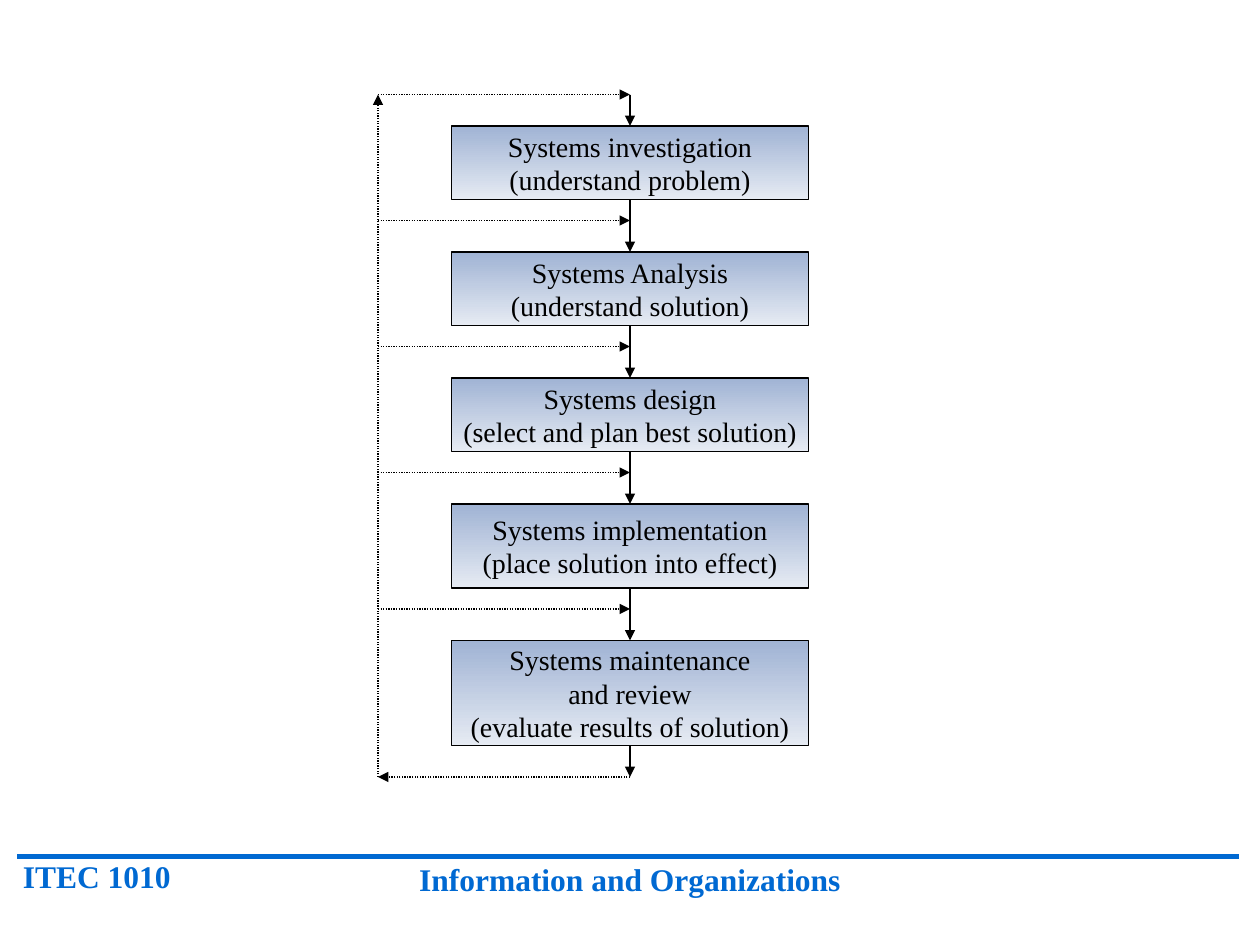
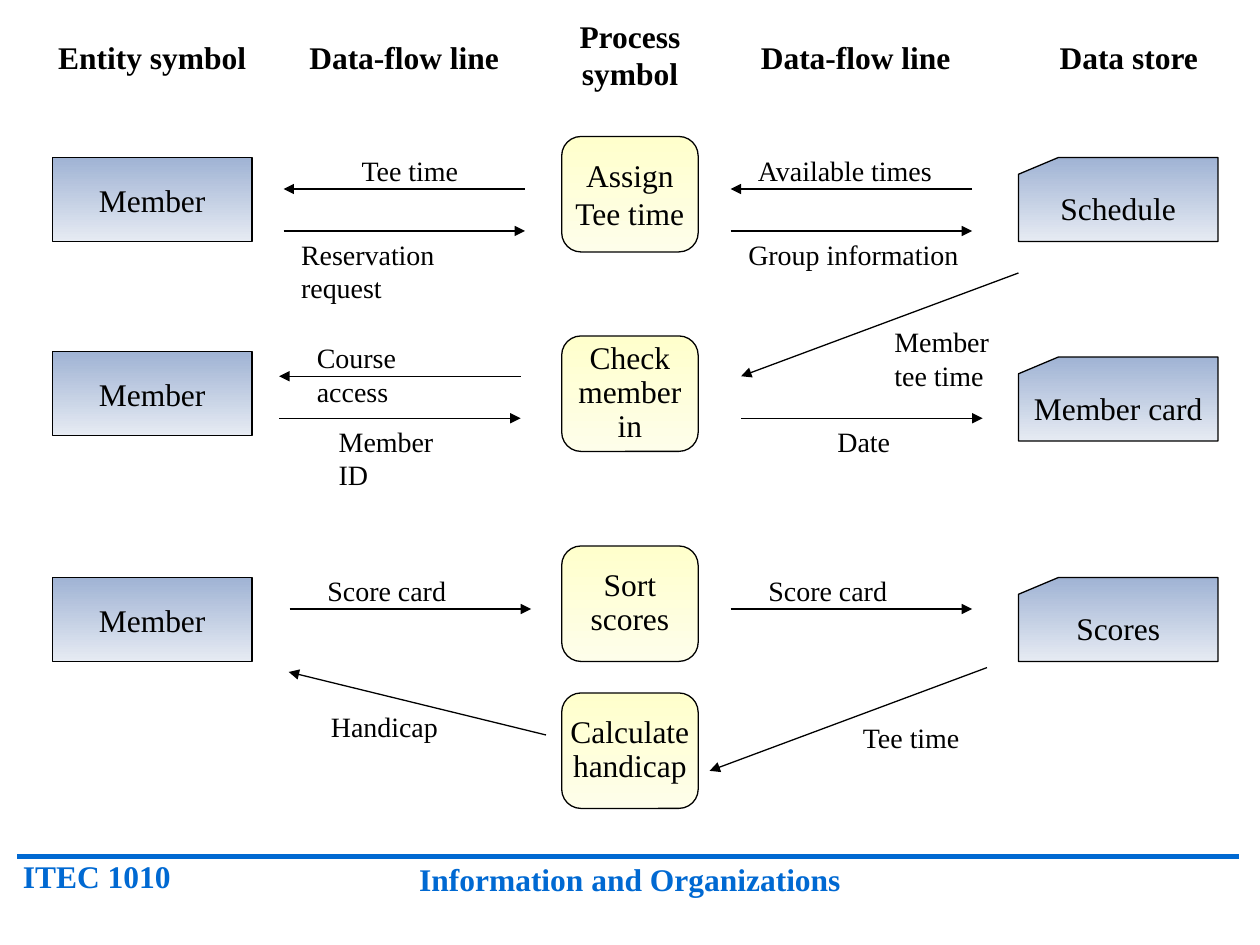
"""Builds two slides on the systems life cycle and data-flow diagrams."""
from lxml import etree
from pptx import Presentation
from pptx.dml.color import RGBColor
from pptx.enum.dml import MSO_LINE
from pptx.enum.shapes import MSO_CONNECTOR, MSO_SHAPE
from pptx.enum.text import MSO_ANCHOR, MSO_AUTO_SIZE, PP_ALIGN
from pptx.oxml.ns import qn
from pptx.util import Pt

RECT = MSO_SHAPE.RECTANGLE
ROUNDED = MSO_SHAPE.ROUNDED_RECTANGLE
CARD = MSO_SHAPE.FLOWCHART_CARD
STRAIGHT = MSO_CONNECTOR.STRAIGHT
DOTTED = MSO_LINE.ROUND_DOT
LEFT, CENTER = PP_ALIGN.LEFT, PP_ALIGN.CENTER
MIDDLE = MSO_ANCHOR.MIDDLE
FIT = MSO_AUTO_SIZE.SHAPE_TO_FIT_TEXT
TOP_SITE, BOTTOM_SITE = 0, 2

FONT = "Times New Roman"
BLACK = RGBColor(0x00, 0x00, 0x00)
BRAND = RGBColor(0x00, 0x69, 0xD2)
BLUE = (RGBColor(0xA0, 0xB3, 0xD4), RGBColor(0xE6, 0xEB, 0xF3))
YELLOW = (RGBColor(0xFF, 0xFF, 0xCC), RGBColor(0xFE, 0xFE, 0xEA))


class Deck:
    """Holds the shared style and the current slide."""

    def __init__(self):
        self.prs = Presentation()
        self.prs.slide_width, self.prs.slide_height = Pt(720), Pt(540)
        self.s = None

    def slide(self):
        self.s = self.prs.slides.add_slide(self.prs.slide_layouts[6])
        self.line((10, 489.5), (708, 489.5), color=BRAND, width=3)
        self.heading("ITEC 1010", 6, 486, 120, color=BRAND, align=LEFT)
        self.heading("Information and Organizations", 186, 488, 348, color=BRAND)

    def fill_text(self, tf, text, size, color=BLACK, bold=False, align=CENTER, spacing=None):
        tf.text = text
        for p in tf.paragraphs:
            p.alignment = align
            p.line_spacing = spacing
            p.font.name, p.font.size, p.font.bold = FONT, Pt(size), bold
            p.font.color.rgb = color

    def textbox(self, text, x, y, w, size, wrap, **style):
        h = size * 1.2 * (text.count("\v") + 1) + 7.2
        tf = self.s.shapes.add_textbox(Pt(x), Pt(y), Pt(w), Pt(h)).text_frame
        tf.word_wrap, tf.auto_size = wrap, FIT
        self.fill_text(tf, text, size, **style)

    def heading(self, text, x, y, w, **style):
        self.textbox(text, x, y, w, 18, True, bold=True, **style)

    def label(self, text, x, y, w):
        self.textbox(text, x, y, w, 16, False, align=LEFT)

    def box(self, kind, text, x, y, w, h, colors=BLUE, size=18, spacing=None):
        sp = self.s.shapes.add_shape(kind, Pt(x), Pt(y), Pt(w), Pt(h))
        sp.shadow.inherit = False
        sp.fill.gradient()
        sp.fill.gradient_angle = 270
        for stop, color in zip(sp.fill.gradient_stops, colors):
            stop.color.rgb = color
        sp.line.color.rgb, sp.line.width = BLACK, Pt(0.75)
        tf = sp.text_frame
        tf.word_wrap, tf.vertical_anchor = False, MIDDLE
        self.fill_text(tf, text, size, spacing=spacing)
        return sp

    def line(self, start, end, color=BLACK, width=0.75):
        c = self.s.shapes.add_connector(STRAIGHT, *map(Pt, start + end))
        c.line.color.rgb, c.line.width = color, Pt(width)
        etree.SubElement(c._element.spPr, qn("a:effectLst"))
        return c

    def arrow(self, start, end, dash=None):
        c = self.line(start, end)
        if dash:
            c.line.dash_style = dash
        etree.SubElement(c.line._get_or_add_ln(), qn("a:tailEnd"), type="triangle")
        return c


def life_cycle(deck):
    deck.slide()
    rail, mid, bottom = 216, 360, 444
    phases = [
        ("Systems investigation\v(understand problem)", 72, 42),
        ("Systems Analysis\v(understand solution)", 144, 42),
        ("Systems design\v(select and plan best solution)", 216, 42),
        ("Systems implementation\v(place solution into effect)", 288, 48),
        ("Systems maintenance\vand review\v(evaluate results of solution)", 366, 60),
    ]
    above, above_end = None, 54
    for text, y, h in phases:
        sp = deck.box(RECT, text, mid - 102, y, 204, h, size=16)
        step = deck.arrow((mid, above_end), (mid, y))
        if above:
            step.begin_connect(above, BOTTOM_SITE)
        step.end_connect(sp, TOP_SITE)
        deck.arrow((rail, y - 18), (mid, y - 18), DOTTED)
        above, above_end = sp, y + h
    deck.arrow((mid, above_end), (mid, bottom)).begin_connect(above, BOTTOM_SITE)
    deck.arrow((mid, bottom), (rail, bottom), DOTTED)
    deck.arrow((rail, bottom), (rail, 54), DOTTED)


def data_flow(deck):
    deck.slide()
    for text, x, y, w in [
        ("Entity symbol", 12, 18, 150), ("Data-flow line", 156, 18, 150),
        ("Process\vsymbol", 285, 6, 150), ("Data-flow line", 414, 18, 150),
        ("Data store", 582, 18, 126),
    ]:
        deck.heading(text, x, y, w)

    for y in (90, 201, 330):
        deck.box(RECT, "Member", 30, y, 114, 48)
    for text, y, spacing in [
        ("Assign\nTee time", 78, None), ("Check\vmember\vin", 192, 0.9),
        ("Sort\vscores", 312, 0.9), ("Calculate\vhandicap", 396, 0.9),
    ]:
        deck.box(ROUNDED, text, 321, y, 78, 66, YELLOW, spacing=spacing)
    for text, y in [("Schedule", 90), ("Member card", 204), ("Scores", 330)]:
        deck.box(CARD, text, 582, y, 114, 48)

    run = 138
    for x, y in [(162, 132), (159.5, 239), (165.5, 348),
                 (417.5, 132), (423.5, 239), (417.5, 348)]:
        deck.arrow((x, y), (x + run, y))
    for x, y in [(162, 108), (159.5, 215), (417.5, 108)]:
        deck.arrow((x + run, y), (x, y))
    for start, end in [((312, 420), (165, 384)), ((582, 156), (423.5, 215)),
                       ((564, 381.5), (405.5, 440.5))]:
        deck.arrow(start, end)

    for text, x, y, w in [
        ("Tee time", 199.5, 84, 70.5), ("Reservation request", 165, 132, 140),
        ("Course access", 174, 191, 104), ("Member ID", 186.5, 239, 89),
        ("Score card", 180, 324, 82), ("Handicap", 182, 402, 75.5),
        ("Available times", 426, 84, 114.5), ("Group information", 420.5, 132, 134.5),
        ("Member\vtee time", 504, 182, 68.5), ("Date", 471.5, 239, 44.5),
        ("Score card", 432, 324, 82), ("Tee time", 486, 408, 70.5),
    ]:
        deck.label(text, x, y, w)


def main():
    deck = Deck()
    life_cycle(deck)
    data_flow(deck)
    deck.prs.save("out.pptx")


if __name__ == "__main__":
    main()
